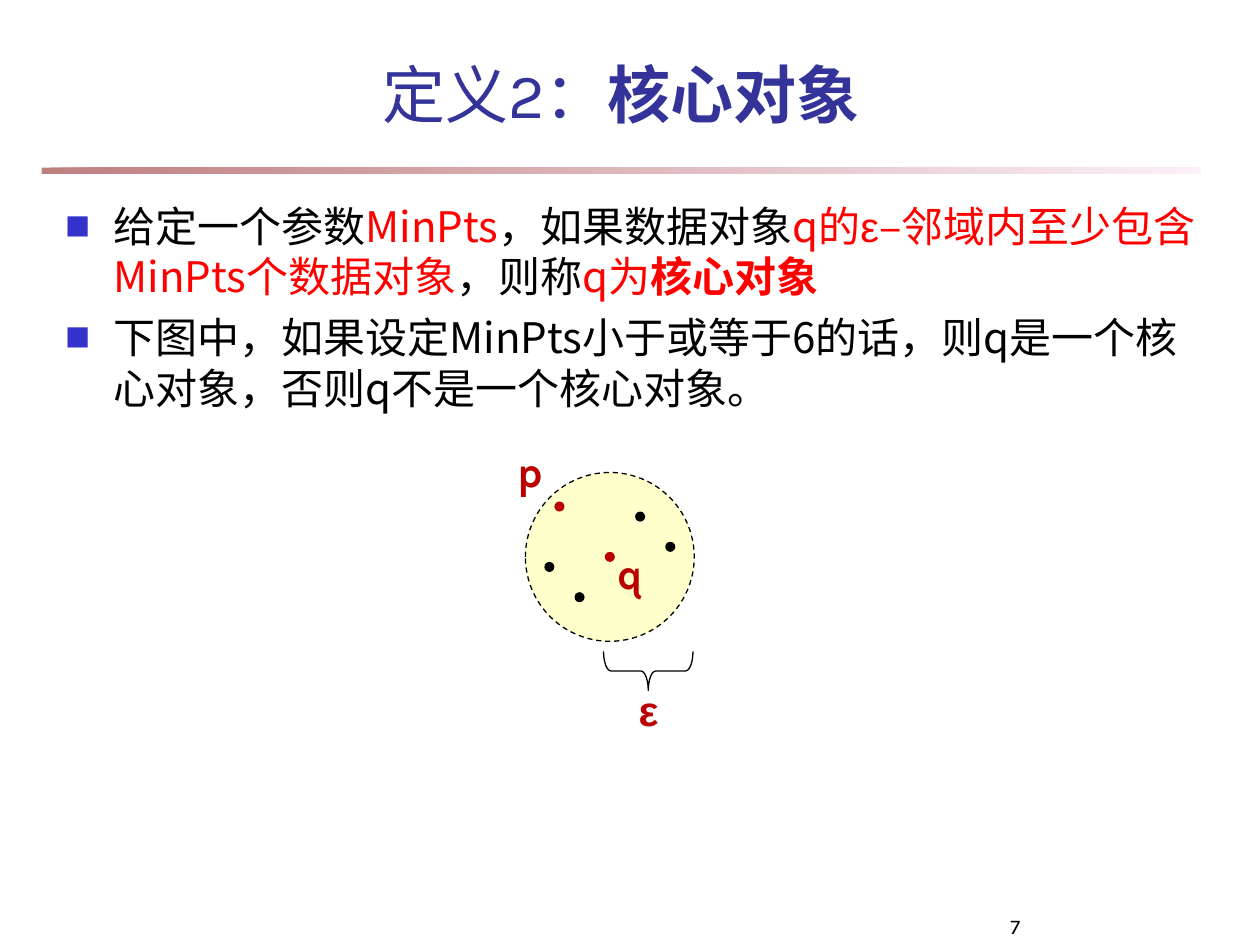
from lxml import etree
from pptx import Presentation
from pptx.dml.color import RGBColor
from pptx.enum.dml import MSO_LINE
from pptx.enum.shapes import MSO_SHAPE
from pptx.enum.text import MSO_ANCHOR, MSO_AUTO_SIZE, PP_ALIGN
from pptx.oxml.ns import qn
from pptx.util import Inches, Pt

OVAL, RECTANGLE, BRACE = MSO_SHAPE.OVAL, MSO_SHAPE.RECTANGLE, MSO_SHAPE.LEFT_BRACE
TOP, BOTTOM = MSO_ANCHOR.TOP, MSO_ANCHOR.BOTTOM
LEFT, CENTER = PP_ALIGN.LEFT, PP_ALIGN.CENTER
DASH = MSO_LINE.DASH

CJK, LATIN, GREEK = "Noto Sans CJK SC", "Karla", "Arial"
BLACK, RED, CRIMSON, NAVY = "000000", "FF0000", "BA0000", "333399"

CENTRE_X, CENTRE_Y = 4.84, 4.42
RADIUS, DOT, STEP = 0.67, 0.08, 0.08
NEIGHBOURS = [  # steps from q, colour
    (-5, -5, CRIMSON), (0, 0, CRIMSON),
    (3, -4, BLACK), (6, -1, BLACK), (-6, 1, BLACK), (-3, 4, BLACK),
]
LABELS = [("p", 4.01, 3.49, LATIN), ("q", 4.8, 4.3, LATIN), ("ε", 4.97, 5.38, GREEK)]

TITLE = [("定义2：", {"name": LATIN}), ("核心对象", {"name": CJK, "bold": True})]
BULLETS = [
    [
        ("给定一个参数", {}),
        ("MinPts", {"color": RED}),
        ("，如果数据对象", {}),
        ("q的", {"color": RED}),
        ("ε", {"color": RED, "name": GREEK}),
        ("–邻域内至少包含MinPts个数据对象", {"color": RED}),
        ("，则称", {}),
        ("q为", {"color": RED}),
        ("核心对象", {"color": RED, "bold": True}),
    ],
    [("下图中，如果设定MinPts小于或等于6的话，则q是一个核心对象，否则q不是一个核心对象。", {})],
]


def rgb(value):
    return RGBColor.from_string(value)


def place(shape, left, top, width, height):
    shape.left, shape.top = Inches(left), Inches(top)
    shape.width, shape.height = Inches(width), Inches(height)


def add_runs(paragraph, runs, **base):
    for text, changes in runs:
        run = paragraph.add_run()
        run.text = text
        values = {**base, **changes}
        run.font.color.rgb = rgb(values.pop("color"))
        for attribute, value in values.items():
            setattr(run.font, attribute, value)
        east_asian = etree.Element(qn("a:ea"), typeface=CJK)
        run.font._element.find(qn("a:latin")).addnext(east_asian)


def format_frame(frame, anchor=TOP):
    values = {"word_wrap": True, "auto_size": MSO_AUTO_SIZE.NONE, "vertical_anchor": anchor}
    for attribute, value in values.items():
        setattr(frame, attribute, value)


def add_bullet(paragraph):
    properties = paragraph._p.get_or_add_pPr()
    properties.set("marL", str(Inches(0.38)))
    properties.set("indent", str(-Inches(0.38)))
    color = etree.SubElement(properties, qn("a:buClr"))
    etree.SubElement(color, qn("a:srgbClr"), val="3333CC")
    etree.SubElement(properties, qn("a:buSzPct"), val="60000")
    etree.SubElement(properties, qn("a:buFont"), typeface=CJK)
    etree.SubElement(properties, qn("a:buChar"), char="■")


def fill_title(title):
    place(title, 0.67, 0.42, 8.52, 0.67)
    format_frame(title.text_frame, BOTTOM)
    paragraph = title.text_frame.paragraphs[0]
    paragraph.alignment = CENTER
    add_runs(paragraph, TITLE, size=Pt(36), color=NAVY, bold=False)


def fill_body(body):
    place(body, 0.42, 1.5, 9.17, 5.58)
    frame = body.text_frame
    format_frame(frame)
    frame.margin_top = Inches(0.09)
    for index, runs in enumerate(BULLETS):
        paragraph = frame.add_paragraph() if index else frame.paragraphs[0]
        add_bullet(paragraph)
        paragraph.alignment = LEFT
        paragraph.line_spacing = Pt(28.8)
        paragraph.space_before = Pt(6 if index else 0)
        add_runs(paragraph, runs, name=CJK, size=Pt(24), color=BLACK, bold=False)


def add_label(slide, text, box, anchor=TOP, **font):
    label = slide.shapes.add_textbox(*map(Inches, box))
    format_frame(label.text_frame, anchor)
    add_runs(label.text_frame.paragraphs[0], [(text, {})], **font)


def add_figure(slide, kind, box, fill=None, line=None):
    shape = slide.shapes.add_shape(kind, *map(Inches, box))
    shape.shadow.inherit = False
    if fill:
        shape.fill.solid()
        shape.fill.fore_color.rgb = rgb(fill)
    else:
        shape.fill.background()
    if line:
        shape.line.color.rgb = rgb(line)
        shape.line.width = Pt(0.75)
    else:
        shape.line.fill.background()
    return shape


def add_circle(slide, x, y, radius, fill, line=None):
    """Add a circle around the point x, y."""
    box = (x - radius, y - radius, 2 * radius, 2 * radius)
    return add_figure(slide, OVAL, box, fill, line)


def add_title_rule(slide):
    rule = add_figure(slide, RECTANGLE, (0.33, 1.33, 9.2, 0.05))
    rule.fill.gradient()
    rule.fill.gradient_angle = 0
    for stop, color in zip(rule.fill.gradient_stops, ("800000", "FAE2F6")):
        stop.color.rgb = rgb(color)
    for color in rule._element.spPr.iter(qn("a:srgbClr")):
        etree.SubElement(color, qn("a:alpha"), val="50000")


def add_neighbourhood(slide):
    circle = add_circle(slide, CENTRE_X, CENTRE_Y, RADIUS, "FFFFCC", BLACK)
    circle.line.dash_style = DASH
    for column, row, color in NEIGHBOURS:
        add_circle(slide, CENTRE_X + column * STEP, CENTRE_Y + row * STEP, DOT / 2, color)
    brace = add_figure(slide, BRACE, (4.99, 4.97, 0.31, 0.71), line=BLACK)
    brace.rotation = 270
    brace.adjustments[0] = 0.19
    for text, left, top, font in LABELS:
        add_label(slide, text, (left, top, 0.47, 0.5),
                  name=font, size=Pt(24), color=CRIMSON, bold=True)


def main():
    presentation = Presentation()
    presentation.slide_width, presentation.slide_height = Inches(10), Inches(7.5)
    slide = presentation.slides.add_slide(presentation.slide_layouts[1])
    add_title_rule(slide)
    fill_title(slide.shapes.title)
    fill_body(slide.placeholders[1])
    add_label(slide, "7", (7.92, 7.08, 2.08, 0.42), BOTTOM,
              name=LATIN, size=Pt(12), color=BLACK)
    add_neighbourhood(slide)
    presentation.save("out.pptx")


if __name__ == "__main__":
    main()
